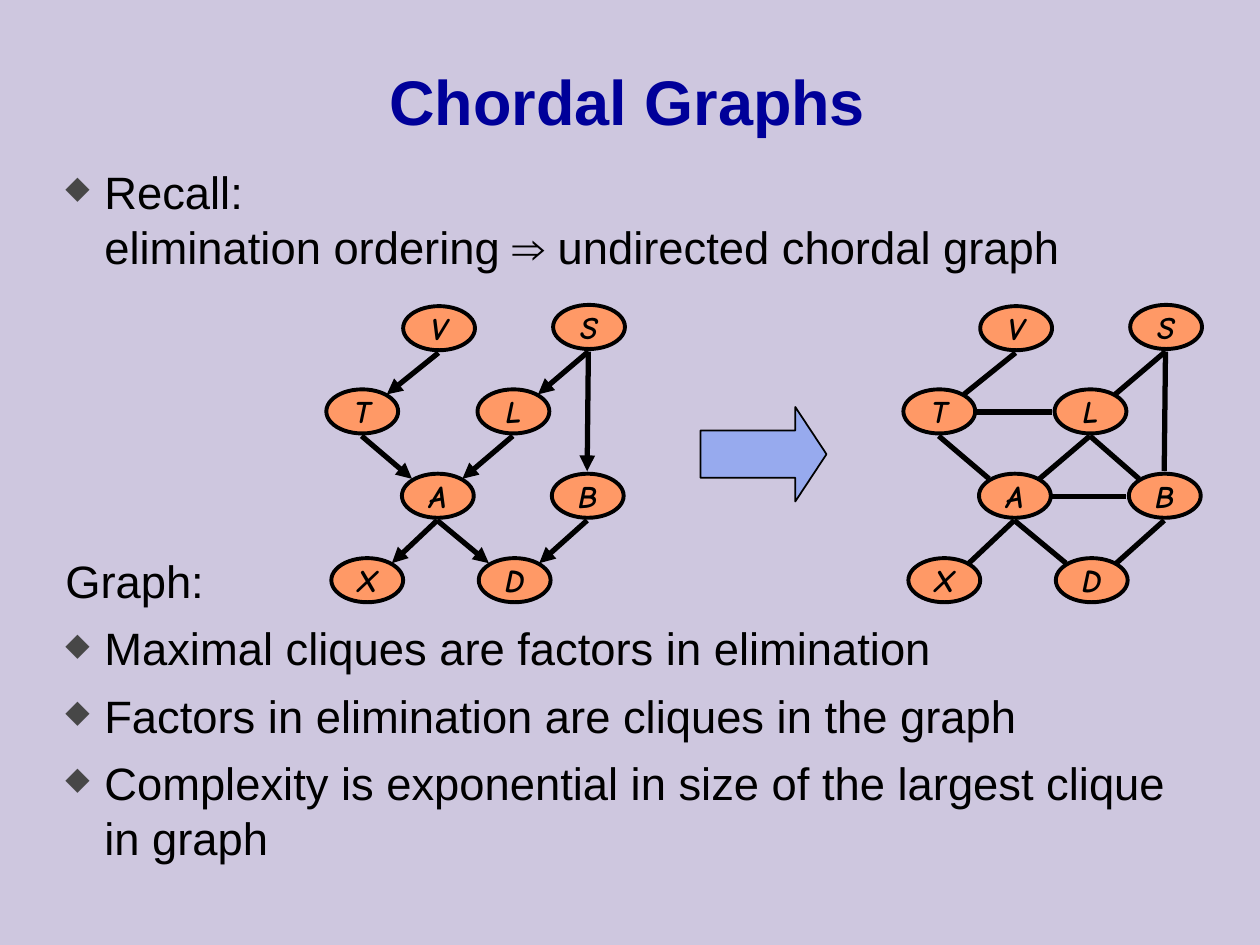
"""Build the Chordal Graphs slide: a directed graph becoming its undirected chordal graph."""
from lxml import etree
from pptx import Presentation
from pptx.dml.color import RGBColor
from pptx.enum.shapes import MSO_CONNECTOR as Link, MSO_SHAPE as Shape
from pptx.enum.text import MSO_ANCHOR as Anchor, PP_ALIGN as Align
from pptx.oxml.ns import qn
from pptx.util import Inches, Pt

COLORS = {"background": "CEC7DF", "title": "000099", "text": "000000", "bullet": "474747",
          "node": "FF9966", "line": "000000", "arrow": "618FFD"}
RGB = {part: RGBColor.from_string(value) for part, value in COLORS.items()}
TITLE_FONT = {"name": "Arial", "size": Pt(36), "bold": True}
BODY_FONT = {"name": "Arial", "size": Pt(25.9)}
NODE_FONT = {"name": "Comic Neue", "size": Pt(18), "bold": True, "italic": True}
NODE_FRAME = {"word_wrap": False, "vertical_anchor": Anchor.MIDDLE}


def assign(target, values):
    """Set every attribute named in values on target."""
    for name, value in values.items():
        setattr(target, name, value)


def add_xml(parent, tag, **attributes):
    """Append one DrawingML element and return it."""
    return etree.SubElement(parent, qn(tag), attributes)


deck = Presentation()
assign(deck, {"slide_width": Inches(10), "slide_height": Inches(7.5)})
slide = deck.slides.add_slide(deck.slide_layouts[6])
slide.background.fill.solid()
slide.background.fill.fore_color.rgb = RGB["background"]

heading = slide.shapes.add_textbox(Inches(0.38), Inches(0.17), Inches(9.2), Inches(1.25)).text_frame
assign(heading, {"word_wrap": True, "vertical_anchor": Anchor.MIDDLE})
title = heading.paragraphs[0]
assign(title, {"text": "Chordal Graphs", "alignment": Align.CENTER})
assign(title.font, TITLE_FONT)
title.font.color.rgb = RGB["title"]

body = slide.shapes.add_textbox(Inches(0.42), Inches(1.25), Inches(9.17), Inches(5.56)).text_frame
body.word_wrap = True
points = [
    ("Recall:\velimination ordering ⇒ undirected chordal graph", 0, True),
    ("Graph:", 159.5, False),
    ("Maximal cliques are factors in elimination", 7, True),
    ("Factors in elimination are cliques in the graph", 7, True),
    ("Complexity is exponential in size of the largest clique in graph", 7, True),
]
for index, (wording, gap, bulleted) in enumerate(points):
    point = body.add_paragraph() if index else body.paragraphs[0]
    assign(point, {"text": wording, "space_before": Pt(gap), "line_spacing": Pt(31.4)})
    layout = point._p.get_or_add_pPr()
    layout.set("marL", str(Inches(0.31)))
    layout.set("indent", str(Inches(-0.31)))
    if bulleted:
        add_xml(add_xml(layout, "a:buClr"), "a:srgbClr", val=COLORS["bullet"])
        add_xml(layout, "a:buSzPct", val="70000")
        add_xml(layout, "a:buChar", char="◆")
    assign(point.font, BODY_FONT)
    point.font.color.rgb = RGB["text"]

NODES = {"V": (3.2, 2.43), "S": (4.39, 2.42), "T": (2.59, 3.09), "L": (3.79, 3.09),
         "A": (3.19, 3.76), "B": (4.38, 3.76), "X": (2.63, 4.43), "D": (3.8, 4.43)}
DIRECTED = ["VT", "SL", "SB", "TA", "LA", "AX", "AD", "BD"]
CHORDAL = DIRECTED + ["LB", "TL", "AB"]
NODE_WIDTH, NODE_HEIGHT = 0.57, 0.35

for shift, edges, has_arrows in [(0, DIRECTED, True), (4.58, CHORDAL, False)]:
    graph = slide.shapes.add_group_shape().shapes
    for letter, (x, y) in NODES.items():
        node = graph.add_shape(Shape.OVAL, Inches(x + shift), Inches(y),
                               Inches(NODE_WIDTH), Inches(NODE_HEIGHT))
        node.shadow.inherit = False
        node.fill.solid()
        node.fill.fore_color.rgb = RGB["node"]
        node.line.color.rgb = RGB["line"]
        node.line.width = Pt(2.25)
        assign(node.text_frame, NODE_FRAME)
        label = node.text_frame.paragraphs[0]
        assign(label, {"text": letter, "alignment": Align.CENTER})
        assign(label.font, NODE_FONT)
        label.font.color.rgb = RGB["text"]
    for parent, child in edges:
        (x1, y1), (x2, y2) = NODES[parent], NODES[child]
        if y1 == y2:
            start = (x1 + NODE_WIDTH + 0.01, y1 + 0.18)
            end = (x2 - 0.02, y2 + 0.18)
        else:
            start = (x1 + 0.28, y1 + 0.37)
            if abs(x2 - x1) < 0.1:
                end = (x2 + 0.28, y2 - 0.02)
            else:
                end = (x2 + (0.08 if x2 > x1 else 0.48), y2 + 0.04)
        edge = graph.add_connector(Link.STRAIGHT, Inches(start[0] + shift), Inches(start[1]),
                                   Inches(end[0] + shift), Inches(end[1]))
        edge.line.color.rgb = RGB["line"]
        edge.line.width = Pt(3)
        if has_arrows:
            add_xml(edge.line._get_or_add_ln(), "a:tailEnd", type="triangle")
        add_xml(edge._element.spPr, "a:effectLst")

transition = slide.shapes.add_shape(Shape.RIGHT_ARROW, Inches(5.56), Inches(3.23), Inches(1), Inches(0.75))
transition.shadow.inherit = False
transition.adjustments[1] = 0.33
transition.fill.solid()
transition.fill.fore_color.rgb = RGB["arrow"]
tint = transition._element.spPr.find(qn("a:solidFill")).find(qn("a:srgbClr"))
add_xml(tint, "a:alpha", val="50000")
transition.line.color.rgb = RGB["line"]
transition.line.width = Pt(1)

deck.save("out.pptx")
